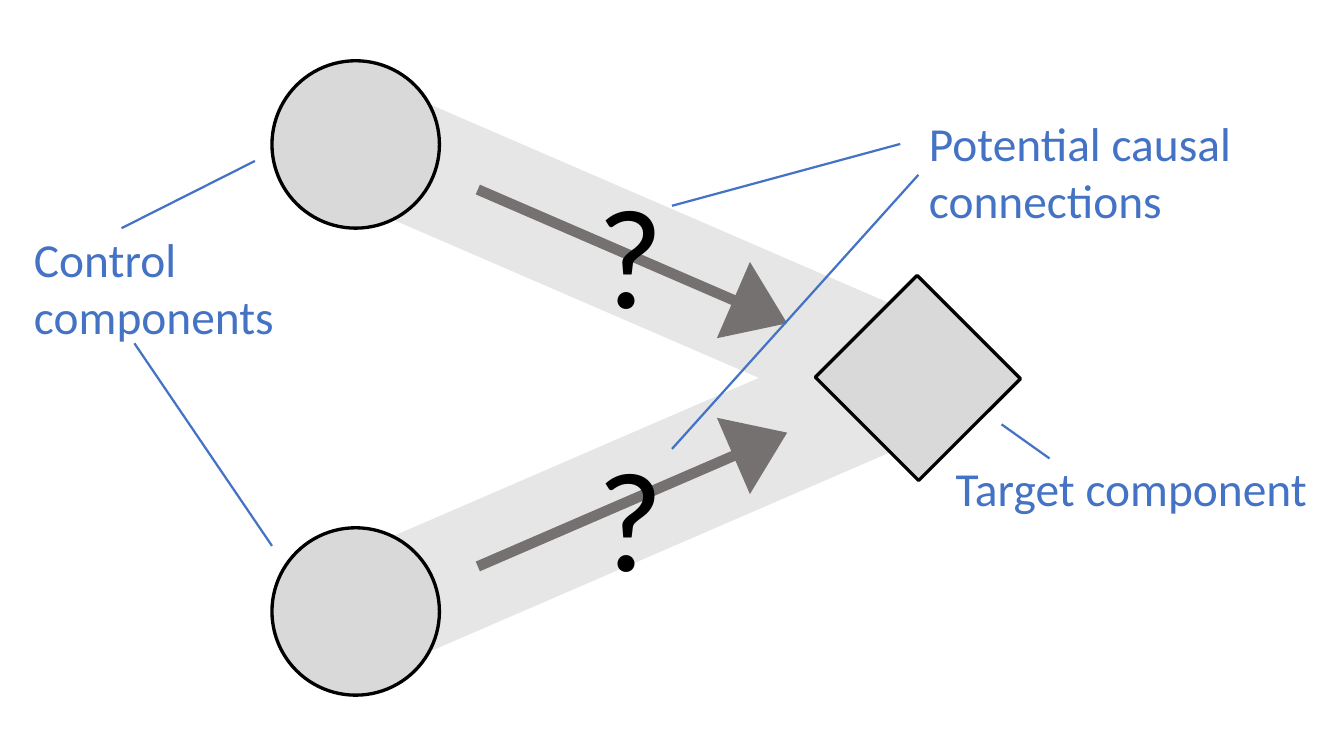
from pptx import Presentation
from pptx.dml.color import RGBColor
from pptx.enum.shapes import MSO_CONNECTOR, MSO_SHAPE
from pptx.enum.text import MSO_ANCHOR
from pptx.oxml.ns import qn
from pptx.util import Inches, Pt
from lxml import etree

WIDTH, HEIGHT = 12.6, 7.09
MIDDLE = HEIGHT / 2

BLACK = RGBColor(0x00, 0x00, 0x00)
BAND = RGBColor(0xE7, 0xE6, 0xE6)
COMPONENT = RGBColor(0xD9, 0xD9, 0xD9)
ARROW = RGBColor(0x76, 0x71, 0x71)
BLUE = RGBColor(0x44, 0x72, 0xC4)

# Content: labels as text, left, top, width, height
LABELS = [
    ("Control components", 0.22, 2.11, 3.62, 1.18),
    ("Potential causal connections", 8.61, 1.02, 3.12, 1.18),
    ("Target component", 8.86, 4.26, 3.72, 0.64),
]
# Pointers from a label to the part it names
POINTERS = [
    ((1.14, 2.14), (2.39, 1.51)),
    ((1.26, 3.22), (2.55, 5.12)),
    ((8.44, 1.35), (6.3, 1.93)),
    ((8.61, 1.64), (6.3, 4.21)),
    ((9.39, 3.98), (9.84, 4.3)),
]
QUESTION_TOPS = (1.51, 3.98)

# Parts mirrored above and below the middle: centre x, distance, width, height
CIRCLE = (3.335, 2.19, 1.57, 1.57)
BAND_PLACE = (5.81, 1.18, 6.18, 1.13)
ARROW_PLACE = (5.93, 1.14, 3.16, 0.78)
SLOPE = 23.4
SIDES = (-1, 1)

deck = Presentation()
deck.slide_width, deck.slide_height = Inches(WIDTH), Inches(HEIGHT)
page = deck.slides.add_slide(deck.slide_layouts[6])


def add_part(kind, place, fill, side=0, turn=0, outlined=False, adjust=()):
    """Draw a shape centred on the middle line, or to one side of it."""
    x, distance, width, height = place
    y = MIDDLE + side * distance
    part = page.shapes.add_shape(
        kind, Inches(x - width / 2), Inches(y - height / 2),
        Inches(width), Inches(height))
    part.rotation = turn % 360
    part.shadow.inherit = False
    for index, value in enumerate(adjust):
        part.adjustments[index] = value
    part.fill.solid()
    part.fill.fore_color.rgb = fill
    if outlined:
        part.line.color.rgb = BLACK
        part.line.width = Pt(2.25)
    else:
        part.line.fill.background()


def add_text(text, left, top, width, height, size=32, color=BLUE):
    box = page.shapes.add_textbox(
        Inches(left), Inches(top), Inches(width), Inches(height))
    frame = box.text_frame
    frame.word_wrap = True
    frame.vertical_anchor = MSO_ANCHOR.TOP
    span = frame.paragraphs[0].add_run()
    span.text = text
    span.font.name = "Calibri"
    span.font.size = Pt(size)
    span.font.color.rgb = color


def add_pointer(start, end):
    pointer = page.shapes.add_connector(
        MSO_CONNECTOR.STRAIGHT, *(Inches(value) for value in start + end))
    pointer.line.color.rgb = BLUE
    pointer.line.width = Pt(1.5)
    etree.SubElement(pointer._element.spPr, qn("a:effectLst"))


# Bands of potential connection
for side in SIDES:
    add_part(MSO_SHAPE.RECTANGLE, BAND_PLACE, BAND, side, -side * SLOPE)

# Control components and the target
for side in SIDES:
    add_part(MSO_SHAPE.OVAL, CIRCLE, COMPONENT, side, outlined=True)
add_part(MSO_SHAPE.RECTANGLE, (8.605, 0, 1.37, 1.35), COMPONENT,
         turn=45, outlined=True)

# Causal arrows with their question marks
for side in SIDES:
    add_part(MSO_SHAPE.RIGHT_ARROW, ARROW_PLACE, ARROW, side, -side * SLOPE,
             adjust=(0.127, 0.704))
for top in QUESTION_TOPS:
    add_text("?", 5.5, top, 0.97, 1.72, size=96, color=BLACK)

# Labels and pointers
for start, end in POINTERS:
    add_pointer(start, end)
for label in LABELS:
    add_text(*label)

deck.save("out.pptx")
